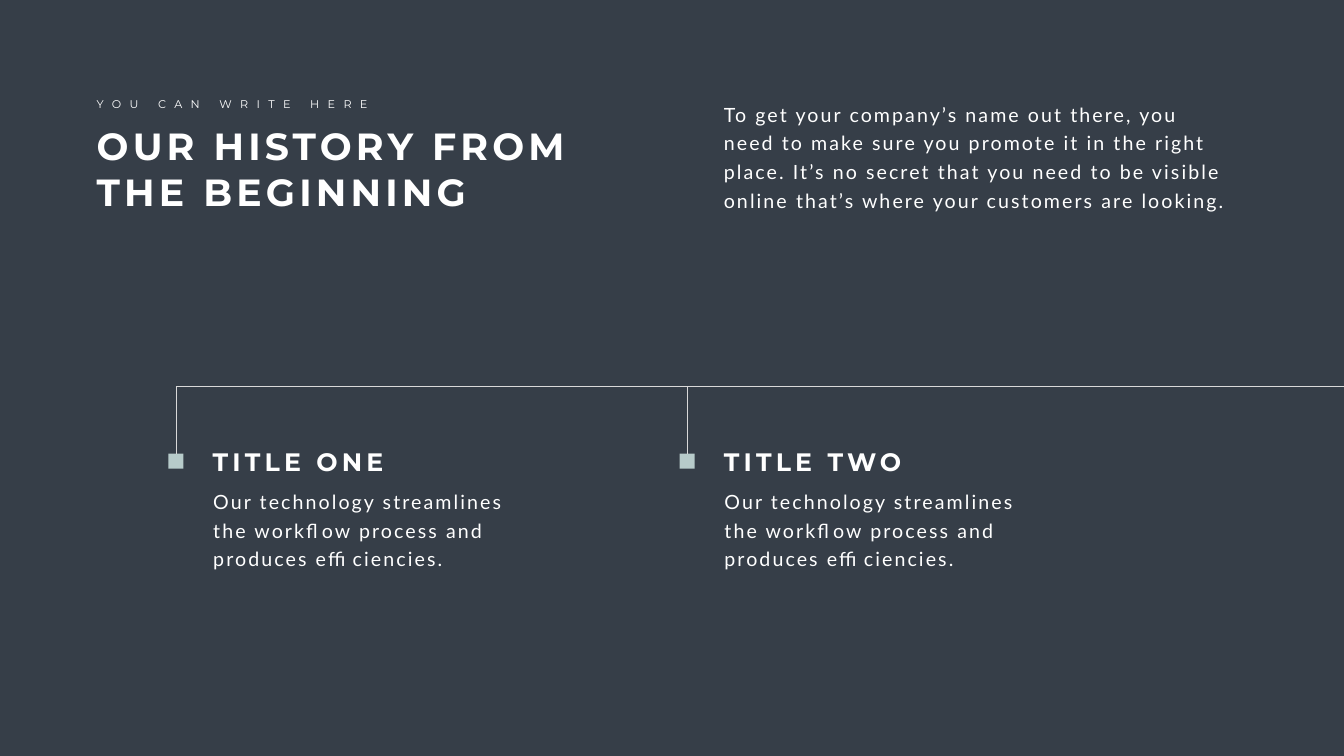
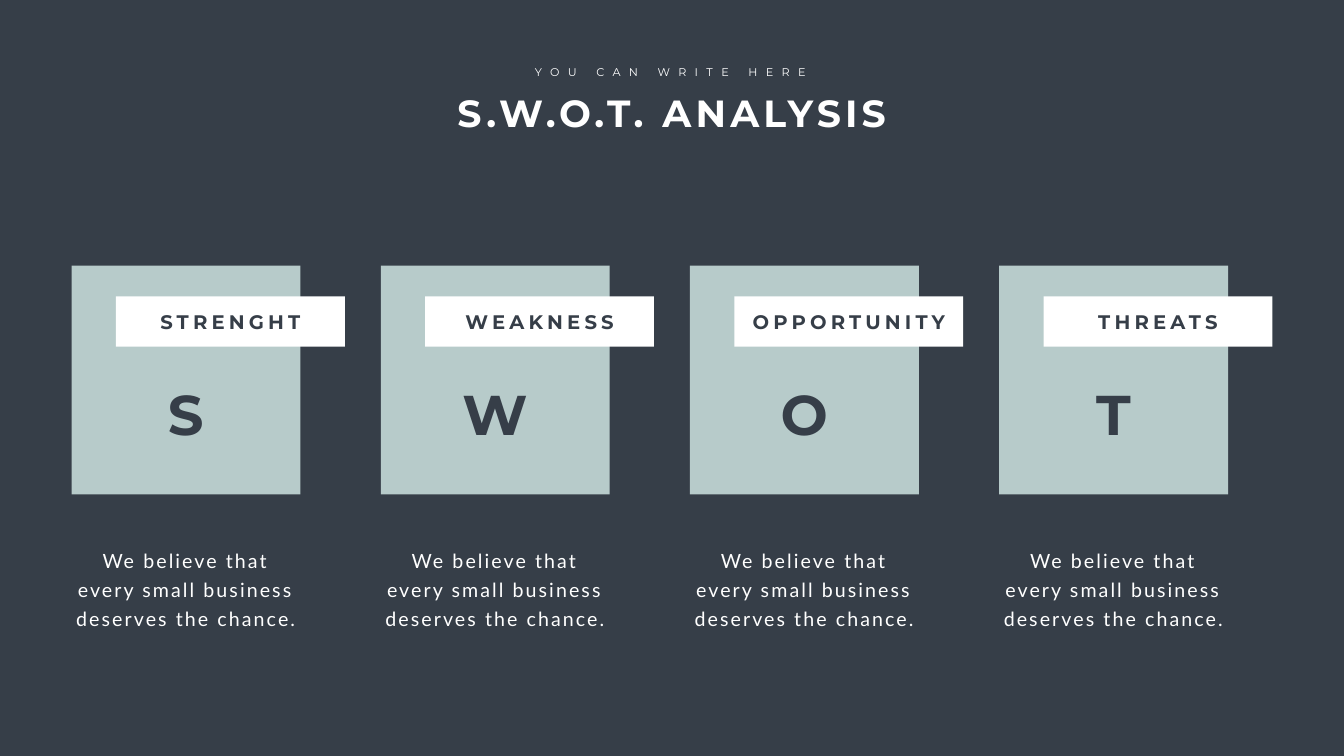
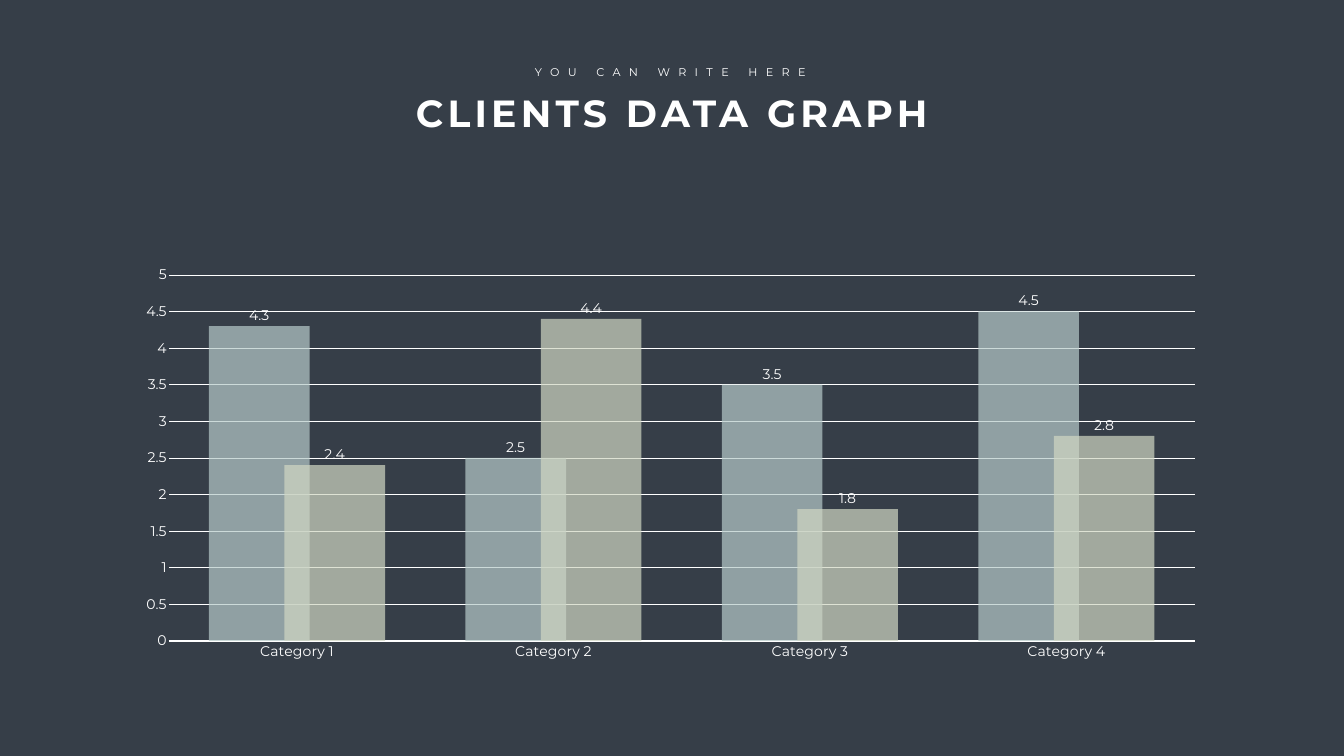
from dataclasses import dataclass

from lxml import etree
from pptx import Presentation
from pptx import util as u
from pptx.chart.data import CategoryChartData
from pptx.dml.color import RGBColor
from pptx.enum import chart as ch, shapes, text
from pptx.oxml.ns import qn

Inches, Pt = u.Inches, u.Pt

COLORS = {
    "slate": "363E48",
    "white": "FFFFFF",
    "mint": "B7CBCA",
    "sage": "D1D7C3",
    "rule": "D9D9D9",
}
WIDTH, HEIGHT = 26.66, 15
HEADING_FONT, BODY_FONT = "Montserrat", "Lato"
BODY_LEADING = 40.8
KICKER = "YOU CAN WRITE HERE"
LEFT, CENTER = text.PP_ALIGN.LEFT, text.PP_ALIGN.CENTER


@dataclass(frozen=True)
class TextStyle:
    size: float
    font: str = HEADING_FONT
    color: str = "white"
    bold: bool = False
    tracking: float = 6
    leading: float | None = None


@dataclass(frozen=True)
class Box:
    left: float
    top: float
    width: float
    height: float

    def lengths(self) -> tuple:
        return tuple(Inches(v) for v in (self.left, self.top, self.width, self.height))


@dataclass(frozen=True)
class Milestone:
    title: str
    summary: str


@dataclass(frozen=True)
class SwotCard:
    letter: str
    label: str


@dataclass(frozen=True)
class ClientSeries:
    name: str
    values: tuple
    color: str


TITLE = TextStyle(54, bold=True)
KICKER_STYLE = TextStyle(16, tracking=12)
BODY = TextStyle(28, font=BODY_FONT, tracking=3, leading=BODY_LEADING)
MILESTONE_TITLE = TextStyle(36, bold=True)
SWOT_LETTER = TextStyle(80, color="slate", bold=True)
SWOT_LABEL = TextStyle(28, color="slate", bold=True)

INTRO = (
    "To get your company’s name out there, you need to make sure you promote it "
    "in the right place. It’s no secret that you need to be visible online "
    "that’s where your customers are looking."
)
STREAMLINES = (
    "Our technology streamlines the workflow process and produces efficiencies."
)
BELIEF = "We believe that every small business deserves the chance."

MILESTONES = [Milestone("TITLE ONE", STREAMLINES), Milestone("TITLE TWO", STREAMLINES)]
SWOT_CARDS = [
    SwotCard("S", "STRENGHT"),
    SwotCard("W", "WEAKNESS"),
    SwotCard("O", "OPPORTUNITY"),
    SwotCard("T", "THREATS"),
]
CATEGORIES = [f"Category {number}" for number in range(1, 5)]
CLIENT_SERIES = [
    ClientSeries("Series 1", (4.3, 2.5, 3.5, 4.5), "mint"),
    ClientSeries("Series 2", (2.4, 4.4, 1.8, 2.8), "sage"),
]


def rgb(name: str) -> RGBColor:
    return RGBColor.from_string(COLORS[name])


def add_slide(prs):
    slide = prs.slides.add_slide(prs.slide_layouts[6])
    slide.background.fill.solid()
    slide.background.fill.fore_color.rgb = rgb("slate")
    return slide


def add_text(slide, box: Box, words: str, style: TextStyle, align=LEFT,
             wrap: bool = True, padded: bool = False) -> None:
    frame = slide.shapes.add_textbox(*box.lengths()).text_frame
    frame.word_wrap = wrap
    frame.auto_size = text.MSO_AUTO_SIZE.SHAPE_TO_FIT_TEXT
    if padded:
        frame.margin_left = frame.margin_right = Inches(0.24)
        frame.margin_top = frame.margin_bottom = Inches(0.12)
    paragraph = frame.paragraphs[0]
    paragraph.alignment = align
    if style.leading:
        paragraph.line_spacing = Pt(style.leading)
    run = paragraph.add_run()
    run.text = words
    run.font.size = Pt(style.size)
    run.font.name = style.font
    run.font.bold = style.bold
    run.font.color.rgb = rgb(style.color)
    run._r.get_or_add_rPr().set("spc", str(int(style.tracking * 100)))


def add_block(slide, box: Box, color: str):
    block = slide.shapes.add_shape(shapes.MSO_SHAPE.RECTANGLE, *box.lengths())
    block.shadow.inherit = False
    block.fill.solid()
    block.fill.fore_color.rgb = rgb(color)
    block.line.fill.background()
    return block


def add_rule(slide, start: tuple, end: tuple):
    rule = slide.shapes.add_connector(
        shapes.MSO_CONNECTOR.STRAIGHT, *(Inches(v) for v in start + end))
    rule.line.color.rgb = rgb("rule")
    rule.line.width = Pt(0.5)
    etree.SubElement(rule._element.spPr, qn("a:effectLst"))
    return rule


def add_heading(slide, title: str, title_box: Box, kicker_left: float, align) -> None:
    """Draw the title with its small kicker half an inch higher."""
    add_text(slide, title_box, title, TITLE, align)
    kicker_box = Box(kicker_left, title_box.top - 0.5, 5.78, 0.37)
    add_text(slide, kicker_box, KICKER, KICKER_STYLE, align, wrap=False)


def add_centered_heading(slide, title: str) -> None:
    add_heading(slide, title, Box(7.13, 1.74, 12.4, 1.01), 10.41, CENTER)


def build_history(prs) -> None:
    slide = add_slide(prs)
    add_heading(slide, "OUR HISTORY FROM THE BEGINNING",
                Box(1.82, 2.39, 9.77, 1.92), 1.82, LEFT)
    add_text(slide, Box(14.26, 1.89, 10.33, 2.34), INTRO, BODY)

    first, step, marker_size = 3.34, 10.14, 0.3
    line_y, marker_y = 7.67, 9
    add_rule(slide, (first + marker_size / 2, line_y), (WIDTH, line_y))
    for index, milestone in enumerate(MILESTONES):
        left = first + index * step
        middle = left + marker_size / 2
        marker = add_block(slide, Box(left, marker_y, marker_size, marker_size), "mint")
        drop = add_rule(slide, (middle, line_y), (middle, marker_y))
        drop.end_connect(marker, 0)
        add_text(slide, Box(left + 0.65, 9.5, 7.04, 1.91), milestone.summary, BODY,
                 padded=True)
        add_text(slide, Box(left + 0.78, 8.8, 5.34, 0.71), milestone.title,
                 MILESTONE_TITLE)


def build_swot(prs) -> None:
    slide = add_slide(prs)
    add_centered_heading(slide, "S.W.O.T. ANALYSIS")
    first, last, side = 1.42, 19.82, 4.54
    step = (last - first) / (len(SWOT_CARDS) - 1)
    for index, card in enumerate(SWOT_CARDS):
        left = first + index * step
        add_block(slide, Box(left, 5.27, side, side), "mint")
        add_text(slide, Box(left + 1.1, 7.48, 2.33, 1.45), card.letter, SWOT_LETTER,
                 CENTER)
        add_block(slide, Box(left + 0.88, 5.88, side, 1), "white")
        add_text(slide, Box(left + 0.88, 6.09, side, 0.57), card.label, SWOT_LABEL,
                 CENTER)
        add_text(slide, Box(left - 0.23, 10.68, 4.99, 1.91), BELIEF, BODY, CENTER,
                 padded=True)


def style_chart_font(font) -> None:
    font.size = Pt(20)
    font.name = HEADING_FONT
    font.color.rgb = rgb("white")


def style_series(series, color: str) -> None:
    """Give a series its translucent fill and value labels."""
    fill = series.format.fill
    fill.solid()
    fill.fore_color.rgb = rgb(color)
    srgb = next(series._element.iter(qn("a:srgbClr")))
    etree.SubElement(srgb, qn("a:alpha")).set("val", "70000")
    series.invert_if_negative = False
    labels = series.data_labels
    labels.show_value = True
    labels.position = ch.XL_LABEL_POSITION.OUTSIDE_END
    style_chart_font(labels.font)


def build_clients(prs) -> None:
    slide = add_slide(prs)
    add_centered_heading(slide, "CLIENTS DATA GRAPH")
    data = CategoryChartData()
    data.categories = CATEGORIES
    for client in CLIENT_SERIES:
        data.add_series(client.name, client.values)
    chart = slide.shapes.add_chart(
        ch.XL_CHART_TYPE.COLUMN_CLUSTERED,
        *Box(2.47, 5.12, 21.66, 8.14).lengths(), data).chart
    chart.has_title = False
    chart.has_legend = False
    style_chart_font(chart.font)

    plot = chart.plots[0]
    plot.gap_width = 80
    plot.overlap = 25
    plot.vary_by_categories = False
    for series, client in zip(plot.series, CLIENT_SERIES):
        style_series(series, client.color)

    for axis in (chart.category_axis, chart.value_axis):
        axis.major_tick_mark = axis.minor_tick_mark = ch.XL_TICK_MARK.NONE
        style_chart_font(axis.tick_labels.font)
    category_line = chart.category_axis.format.line
    category_line.color.rgb = rgb("white")
    category_line.width = Pt(1.25)

    values = chart.value_axis
    values.minimum_scale, values.maximum_scale, values.major_unit = 0, 5, 0.5
    values.format.line.fill.background()
    values.has_major_gridlines = True
    values.major_gridlines.format.line.color.rgb = rgb("white")
    values.major_gridlines.format.line.width = Pt(0.75)


def main() -> None:
    prs = Presentation()
    prs.slide_width, prs.slide_height = Inches(WIDTH), Inches(HEIGHT)
    build_history(prs)
    build_swot(prs)
    build_clients(prs)
    prs.save("out.pptx")


if __name__ == "__main__":
    main()
